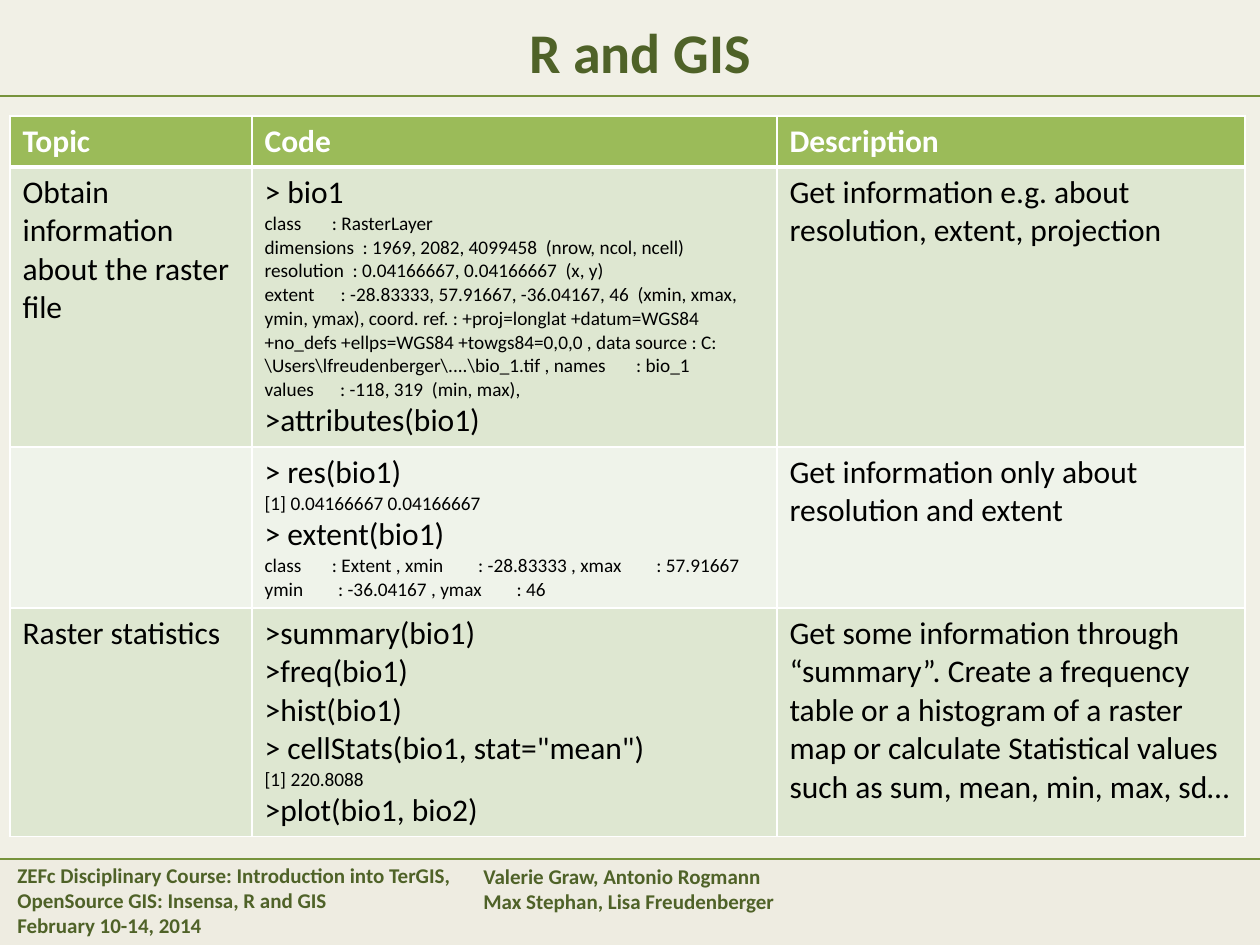
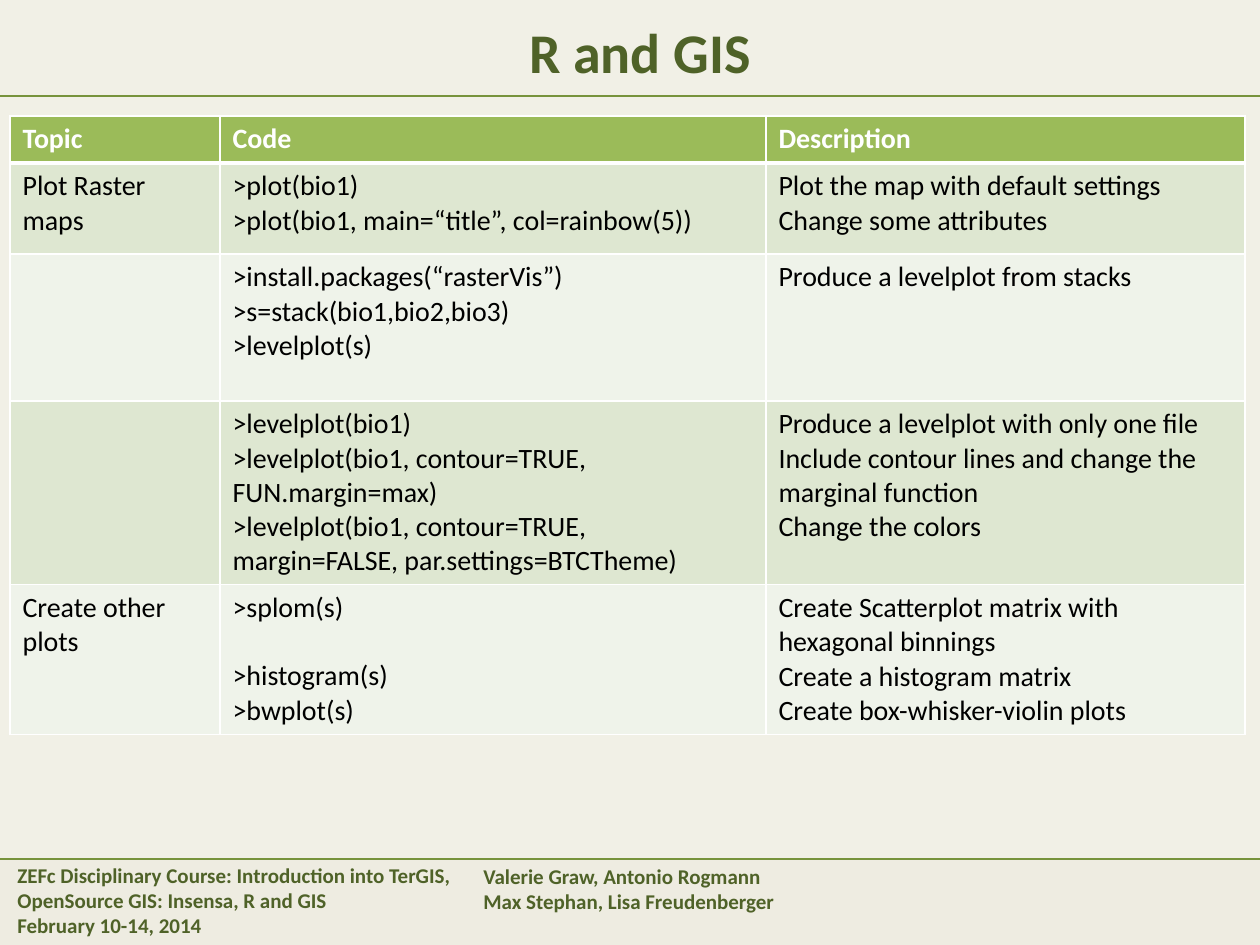
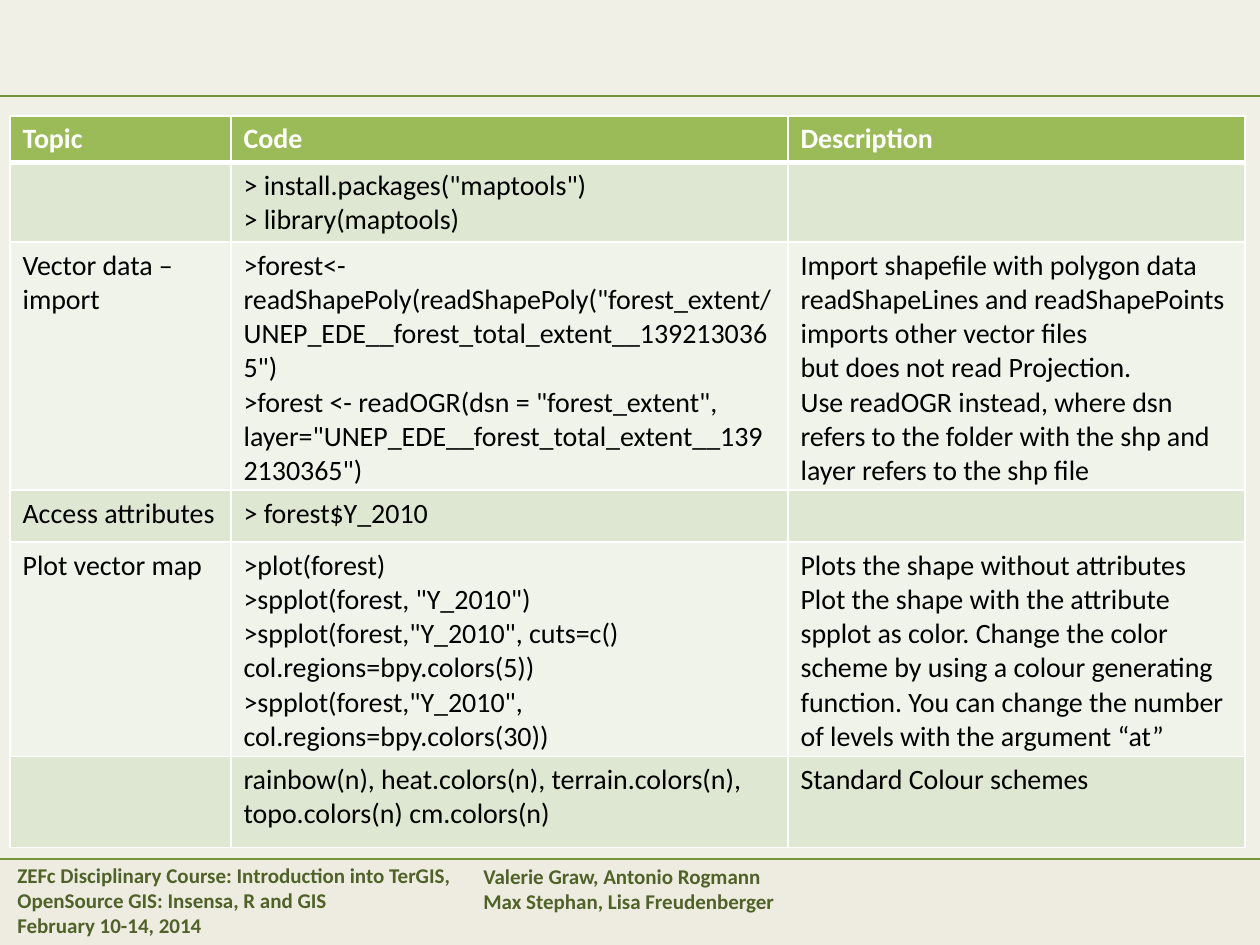
from lxml import etree
from pptx import Presentation
from pptx import util as u
from pptx.dml.color import RGBColor
from pptx.enum import shapes, text
from pptx.oxml import ns

SCALE = 914400 / 126
FONT = "Calibri"
DARK, LINE, WHITE, BLACK = "4F6228", "77933C", "FFFFFF", "000000"
HEAD, BANDS = "9BBB59", ("DEE7D1", "EFF3EA")
WIDE, TALL = 1260, 945


def px(*nums):
    """Turn pixel lengths into a list of EMU lengths."""
    return [u.Emu(round(n * SCALE)) for n in nums]


def write(para, line, size, tint, bold):
    run = para.add_run()
    run.text = line
    run.font.name, run.font.size, run.font.bold = FONT, u.Pt(size), bold
    run.font.color.rgb = RGBColor.from_string(tint)


topics = ["Topic", "Code", "Description"]
# Each slide: title, text size, size of code output, column widths, row heights, rows
pages = [
    ("R and GIS", 18, 11, (242, 525, 468), (50, 280, 161, 228), [
        [["Obtain information about the raster file"],
         ["> bio1",
          "class       : RasterLayer",
          "dimensions  : 1969, 2082, 4099458  (nrow, ncol, ncell)",
          "resolution  : 0.04166667, 0.04166667  (x, y)",
          "extent      : -28.83333, 57.91667, -36.04167, 46  (xmin, xmax, ymin, ymax), "
          "coord. ref. : +proj=longlat +datum=WGS84 +no_defs +ellps=WGS84 +towgs84=0,0,0 , "
          "data source : C:\\Users\\lfreudenberger\\....\\bio_1.tif , names       : bio_1",
          "values      : -118, 319  (min, max),",
          ">attributes(bio1)"],
         ["Get information e.g. about resolution, extent, projection"]],
        [[],
         ["> res(bio1)",
          "[1] 0.04166667 0.04166667",
          "> extent(bio1)",
          "class       : Extent , xmin        : -28.83333 , xmax        : 57.91667",
          "ymin        : -36.04167 , ymax        : 46"],
         ["Get information only about resolution and extent"]],
        [["Raster statistics"],
         [">summary(bio1)", ">freq(bio1)", ">hist(bio1)",
          '> cellStats(bio1, stat="mean")', "[1] 220.8088", ">plot(bio1, bio2)"],
         ["Get some information through “summary”. Create a frequency table or a histogram "
          "of a raster map or calculate Statistical values such as sum, mean, min, max, sd…"]],
    ]),
    ("R and GIS", 16, 16, (210, 546, 479), (46, 91, 147, 183, 150), [
        [["Plot Raster maps"],
         [">plot(bio1)", ">plot(bio1, main=“title”, col=rainbow(5))"],
         ["Plot the map with default settings", "Change some attributes"]],
        [[],
         [">install.packages(“rasterVis”)", ">s=stack(bio1,bio2,bio3)", ">levelplot(s)"],
         ["Produce a levelplot from stacks"]],
        [[],
         [">levelplot(bio1)",
          ">levelplot(bio1, contour=TRUE, FUN.margin=max)",
          ">levelplot(bio1, contour=TRUE, margin=FALSE, par.settings=BTCTheme)"],
         ["Produce a levelplot with only one file",
          "Include contour lines and change the marginal function",
          "Change the colors"]],
        [["Create other plots"],
         [">splom(s)", ">histogram(s)", ">bwplot(s)"],
         ["Create Scatterplot matrix with hexagonal binnings",
          "Create a histogram matrix",
          "Create box-whisker-violin plots"]],
    ]),
    (None, 16, 16, (221, 557, 457), (45, 80, 248, 52, 214, 91), [
        [[], ['> install.packages("maptools")', "> library(maptools)"], []],
        [["Vector data –", "import"],
         ['>forest<-readShapePoly(readShapePoly('
          '"forest_extent/UNEP_EDE__forest_total_extent__1392130365")',
          '>forest <- readOGR(dsn = "forest_extent", '
          'layer="UNEP_EDE__forest_total_extent__1392130365")'],
         ["Import shapefile with polygon data",
          "readShapeLines and readShapePoints imports other vector files",
          "but does not read Projection.",
          "Use readOGR instead, where dsn refers to the folder with the shp "
          "and layer refers to the shp file"]],
        [["Access attributes"], ["> forest$Y_2010"], []],
        [["Plot vector map"],
         [">plot(forest)",
          '>spplot(forest, "Y_2010")',
          '>spplot(forest,"Y_2010", cuts=c() col.regions=bpy.colors(5))',
          '>spplot(forest,"Y_2010", col.regions=bpy.colors(30))'],
         ["Plots the shape without attributes",
          "Plot the shape with the attribute spplot as color. Change the color scheme by "
          "using a colour generating function. You can change the number of levels with "
          "the argument “at”"]],
        [[],
         ["rainbow(n), heat.colors(n), terrain.colors(n), topo.colors(n) cm.colors(n)"],
         ["Standard Colour schemes"]],
    ]),
]
footers = [
    ((5, 856, 476, 89),
     ["ZEFc Disciplinary Course: Introduction into TerGIS, OpenSource GIS: Insensa, R and GIS",
      "February 10-14, 2014"]),
    ((471, 857, 341, 63),
     ["Valerie Graw, Antonio Rogmann", "Max Stephan, Lisa Freudenberger"]),
]

deck = Presentation()
deck.slide_width, deck.slide_height = px(WIDE, TALL)
back = deck.slide_master.background.fill
back.solid()
back.fore_color.rgb = RGBColor.from_string("EEECE1")

for title, size, small, widths, heights, rows in pages:
    slide = deck.slides.add_slide(deck.slide_layouts[5 if title else 6])

    # Pale panel, rules and footer
    panel = slide.shapes.add_shape(shapes.MSO_SHAPE.RECTANGLE, *px(0, -1, WIDE, 860))
    panel.shadow.inherit = False
    panel.line.fill.background()
    panel.fill.solid()
    panel.fill.fore_color.rgb = RGBColor.from_string("F3F2E9")
    tint = panel.element.spPr.find(".//" + ns.qn("a:srgbClr"))
    etree.SubElement(tint, ns.qn("a:alpha"), val="75000")
    for y in (859, 96):
        rule = slide.shapes.add_connector(shapes.MSO_CONNECTOR.STRAIGHT, *px(0, y, WIDE, y))
        rule.line.color.rgb = RGBColor.from_string(LINE)
        rule.line.width = u.Pt(1)
        etree.SubElement(rule.element.spPr, ns.qn("a:effectLst"))
    for place, lines in footers:
        frame = slide.shapes.add_textbox(*px(*place)).text_frame
        frame.word_wrap = True
        for i, line in enumerate(lines):
            para = frame.add_paragraph() if i else frame.paragraphs[0]
            write(para, line, 12, DARK, True)

    if title:
        head = slide.shapes.title
        head.left, head.top, head.width, head.height = px(184, 6, 912, 90)
        head.text_frame.vertical_anchor = text.MSO_ANCHOR.MIDDLE
        head.text_frame.paragraphs[0].alignment = text.PP_ALIGN.CENTER
        write(head.text_frame.paragraphs[0], title, 32, DARK, True)
        slide.shapes.element.append(head.element)  # bring in front of the panel

    # Code table
    rows = [[[topic] for topic in topics]] + rows
    place = px(10, 116, sum(widths), sum(heights))
    table = slide.shapes.add_table(len(rows), len(topics), *place).table
    for col, width in zip(table.columns, px(*widths)):
        col.width = width
    for row, height in zip(table.rows, px(*heights)):
        row.height = height
    for r, row in enumerate(rows):
        for c, lines in enumerate(row):
            cell = table.cell(r, c)
            props = cell._tc.get_or_add_tcPr()
            for side in "LRTB":
                thick = (r, side) in ((0, "B"), (1, "T"))
                edge = etree.SubElement(props, ns.qn("a:ln" + side),
                                        w=str(u.Pt(3 if thick else 1)))
                fill = etree.SubElement(edge, ns.qn("a:solidFill"))
                etree.SubElement(fill, ns.qn("a:srgbClr"), val=WHITE)
            cell.fill.solid()
            cell.fill.fore_color.rgb = RGBColor.from_string(BANDS[(r - 1) % 2] if r else HEAD)
            for i, line in enumerate(lines):
                para = cell.text_frame.add_paragraph() if i else cell.text_frame.paragraphs[0]
                if line == ">histogram(s)":  # level with its description
                    para.space_before = u.Pt(19.5)
                output = r and c == 1 and not line.startswith(">")
                write(para, line, small if output else size, BLACK if r else WHITE, r == 0)

deck.save("out.pptx")
